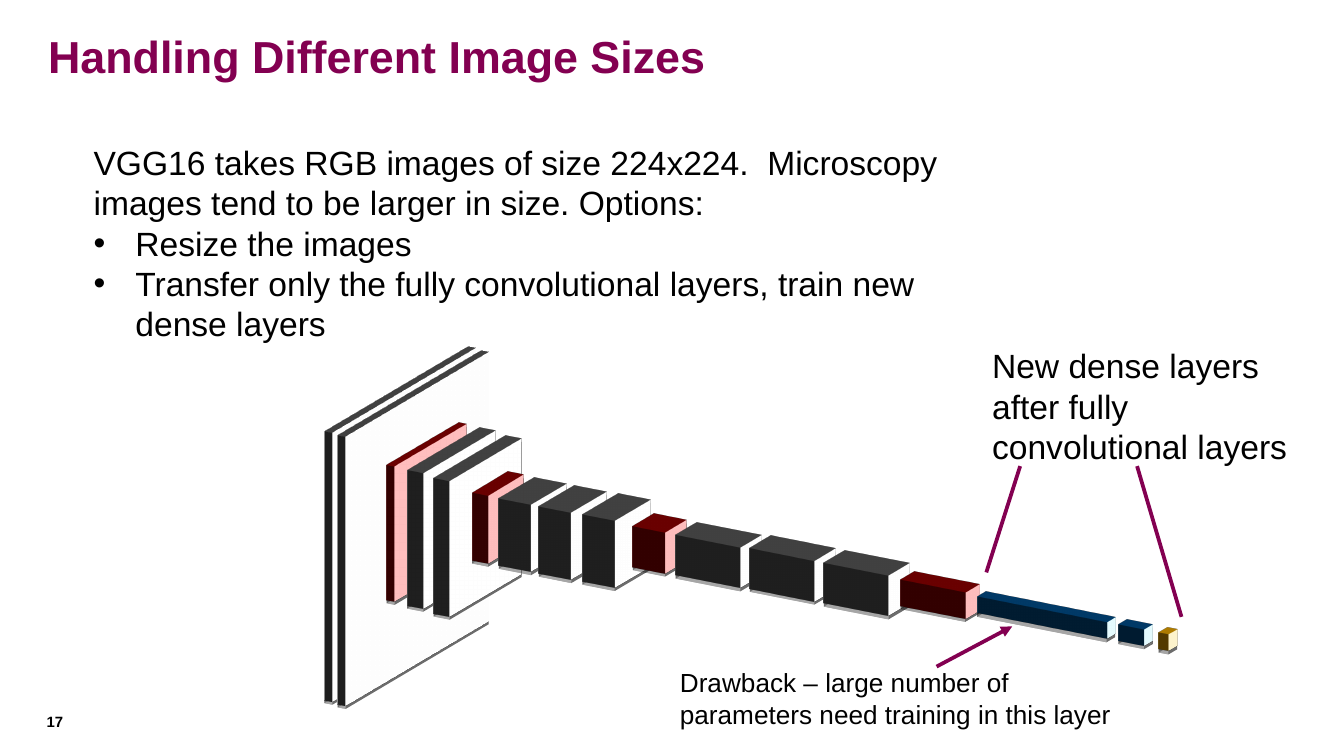
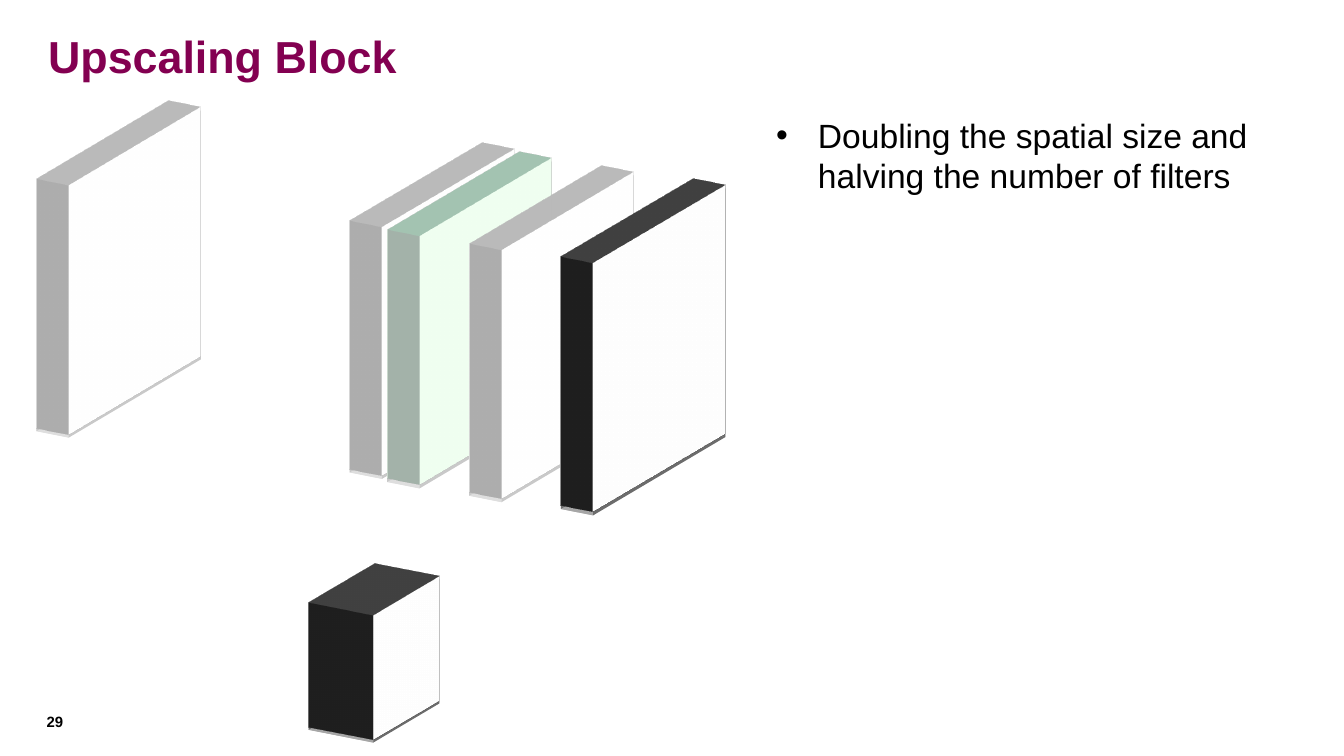
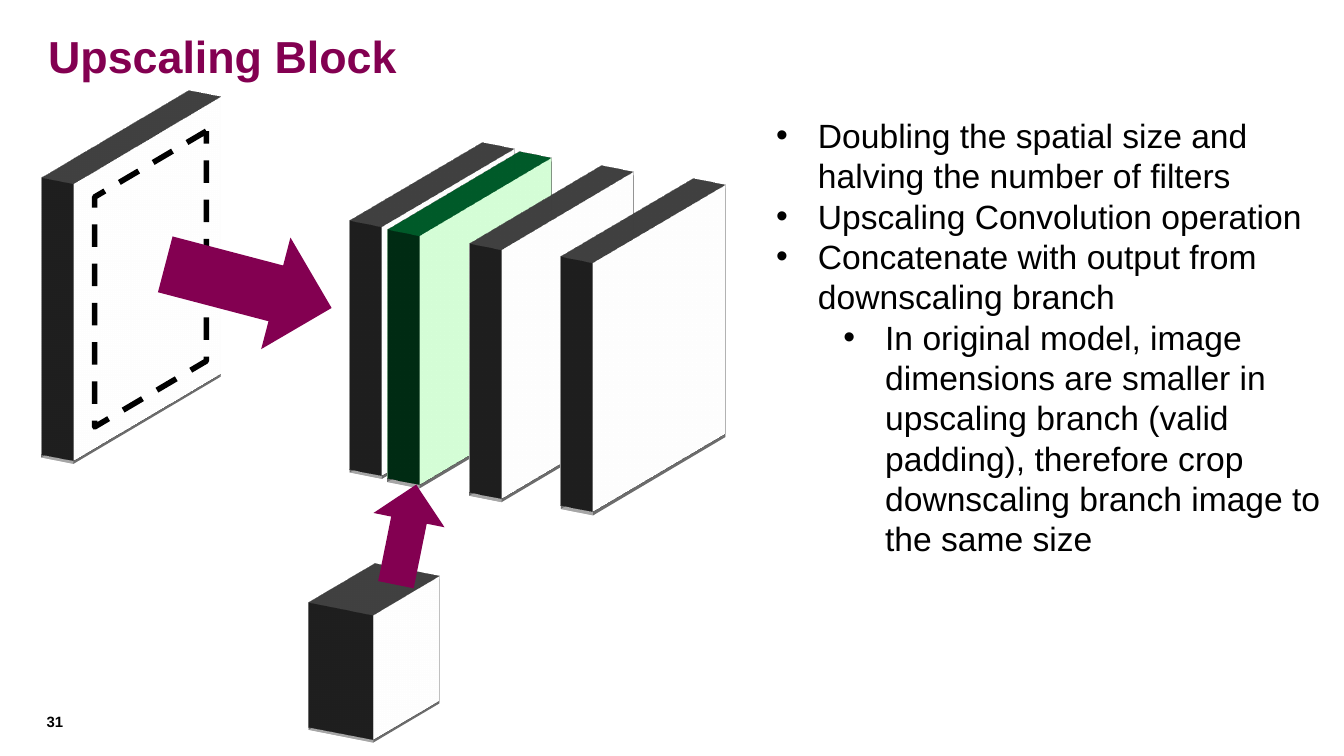
from pptx import Presentation
from pptx.dml.color import RGBColor
from pptx.enum.dml import MSO_LINE
from pptx.enum.shapes import MSO_CONNECTOR, MSO_SHAPE
from pptx.enum.text import MSO_ANCHOR
from pptx.oxml.ns import qn
from pptx.util import Cm, Pt
from lxml.etree import SubElement

PLUM = RGBColor(0x83, 0x00, 0x51)
BLACK = RGBColor(0x00, 0x00, 0x00)
WHITE = RGBColor(0xFF, 0xFF, 0xFF)

# Block colours: front, sides
CONVOLUTION = (WHITE, RGBColor(0x59, 0x59, 0x59))
POOLING = (RGBColor(0xFF, 0xB9, 0xB9), RGBColor(0x92, 0x00, 0x00))
DENSE = (RGBColor(0xE1, 0xF6, 0xF9), RGBColor(0x00, 0x4F, 0x8E))
OUTPUT = (RGBColor(0xFF, 0xEF, 0xC9), RGBColor(0xF0, 0xAB, 0x00))
CONCATENATED = (RGBColor(0xD1, 0xFF, 0xD3), RGBColor(0x00, 0x7E, 0x39))

BULLET_INDENT = 0.79
LEVEL_STEP = 1.27
FEATURE_SIZE = 5.0
FEATURE_DEPTH = 20


def add_text(slide, box, items, size, color=BLACK, bold=False, margins=True):
    """Add a text box; each item is (text, bullet level), with None for no bullet."""
    frame = slide.shapes.add_textbox(*map(Cm, box)).text_frame
    frame.word_wrap = True
    frame.vertical_anchor = MSO_ANCHOR.TOP
    if not margins:
        frame.margin_left = frame.margin_right = frame.margin_top = frame.margin_bottom = 0
    for index, (text, level) in enumerate(items):
        paragraph = frame.add_paragraph() if index else frame.paragraphs[0]
        paragraph.text = text
        if level is not None:
            paragraph.level = level
            properties = paragraph._p.get_or_add_pPr()
            properties.set("marL", str(Cm(BULLET_INDENT + level * LEVEL_STEP)))
            properties.set("indent", str(-Cm(BULLET_INDENT)))
            SubElement(properties, qn("a:buFont"), typeface="Arial")
            SubElement(properties, qn("a:buChar"), char="•")
        paragraph.font.name = "Arial"
        paragraph.font.size = Pt(size)
        paragraph.font.bold = bold
        paragraph.font.color.rgb = color


def add_block(slide, left, top, size, depth, colors, line_width=3):
    """Draw a square extruded by depth points and turned to show its left and top sides."""
    front_color, side_color = colors
    block = slide.shapes.add_shape(MSO_SHAPE.RECTANGLE, Cm(left), Cm(top), Cm(size), Cm(size))
    block.fill.solid()
    block.fill.fore_color.rgb = front_color
    block.line.color.rgb = side_color
    block.line.width = Pt(line_width)
    block.shadow.inherit = False
    properties = block._element.spPr
    shadow = SubElement(properties.find(qn("a:effectLst")), qn("a:outerShdw"),
                        blurRad="40000", dist="23000", dir="5400000", rotWithShape="0")
    shadow_color = SubElement(shadow, qn("a:srgbClr"), val=str(BLACK))
    SubElement(shadow_color, qn("a:alpha"), val="35000")
    scene = SubElement(properties, qn("a:scene3d"))
    camera = SubElement(scene, qn("a:camera"), prst="isometricOffAxis2Right")
    SubElement(camera, qn("a:rot"), lat="1200000", lon="18000000", rev="0")
    SubElement(scene, qn("a:lightRig"), rig="threePt", dir="t")
    solid = SubElement(properties, qn("a:sp3d"), extrusionH=str(Pt(depth)))
    extrusion_color = SubElement(solid, qn("a:extrusionClr"))
    SubElement(extrusion_color, qn("a:srgbClr"), val=str(side_color))


presentation = Presentation()
presentation.slide_width = Cm(25.4)
presentation.slide_height = Cm(14.29)

# Shared title and slide number
slides = []
for title, number in [("Handling Different Image Sizes", "17"),
                      ("Upscaling Block", "29"), ("Upscaling Block", "31")]:
    slide = presentation.slides.add_slide(presentation.slide_layouts[6])
    add_text(slide, (0.66, 0.41, 24.36, 1.4), [(title, None)], 24, PLUM, True)
    add_text(slide, (0.88, 13.47, 1.09, 0.46), [(number, None)], 8, bold=True, margins=False)
    slides.append(slide)
sizes_slide, doubling_slide, concatenate_slide = slides

# Image sizes: network with its dense layers replaced
add_text(sizes_slide, (1.52, 2.56, 16.99, 4.11), [
    ("VGG16 takes RGB images of size 224x224.  Microscopy images tend to be larger in size. Options:", None),
    ("Resize the images", 0),
    ("Transfer only the fully convolutional layers, train new dense layers", 0),
], 18)
add_block(sizes_slide, 4.93, 7.21, 5.41, 5, CONVOLUTION, line_width=4.5)
for left, top, size, depth, colors in [
    (5.18, 7.29, 5.41, 5, CONVOLUTION),
    (6.78, 8.33, 2.72, 5, POOLING),
    (7.32, 8.46, 2.72, 10, CONVOLUTION),
    (7.82, 8.61, 2.72, 10, CONVOLUTION),
    (8.89, 9.14, 1.35, 10, POOLING),
    (9.7, 9.3, 1.35, 20, CONVOLUTION),
    (10.46, 9.45, 1.35, 20, CONVOLUTION),
    (11.28, 9.6, 1.35, 20, CONVOLUTION),
    (12.37, 9.93, 0.81, 20, POOLING),
    (13.79, 10.21, 0.81, 40, CONVOLUTION),
    (15.19, 10.46, 0.81, 40, CONVOLUTION),
    (16.59, 10.74, 0.81, 40, CONVOLUTION),
    (18.11, 11.1, 0.53, 40, POOLING),
    (20.83, 11.71, 0.33, 80, DENSE),
    (21.54, 11.84, 0.33, 16, DENSE),
    (22.0, 11.94, 0.33, 6, OUTPUT),
]:
    add_block(sizes_slide, left, top, size, depth, colors)

for ends, has_arrowhead in [((18.64, 10.82, 19.28, 8.81), False),
                            ((22.33, 11.66, 21.49, 8.81), False),
                            ((17.7, 12.6, 19.13, 11.84), True)]:
    pointer = sizes_slide.shapes.add_connector(MSO_CONNECTOR.STRAIGHT, *map(Cm, ends))
    pointer.line.color.rgb = PLUM
    pointer.line.width = Pt(2)
    if has_arrowhead:
        SubElement(pointer.line._get_or_add_ln(), qn("a:tailEnd"), type="triangle")
    SubElement(pointer._element.spPr, qn("a:effectLst"))
add_text(sizes_slide, (18.5, 6.4, 6.3, 2.57),
         [("New dense layers after fully convolutional layers", None)], 18)
add_text(sizes_slide, (12.6, 12.48, 8.94, 1.45),
         [("Drawback – large number of parameters need training in this layer", None)], 14)

# Upscaling block: feature maps on both slides
for slide, left_block in [(doubling_slide, (0.05, 2.62, FEATURE_SIZE)),
                          (concatenate_slide, (0, 2.49, 5.56))]:
    add_block(slide, 5.97, 3.4, FEATURE_SIZE, FEATURE_DEPTH, CONVOLUTION)
    add_block(slide, 6.68, 3.58, FEATURE_SIZE, FEATURE_DEPTH, CONCATENATED)
    add_block(slide, 8.23, 3.84, FEATURE_SIZE, FEATURE_DEPTH, CONVOLUTION)
    add_block(slide, 6.43, 11.18, FEATURE_SIZE / 2, 2 * FEATURE_DEPTH, CONVOLUTION)
    add_block(slide, *left_block, FEATURE_DEPTH, CONVOLUTION)
    if slide is doubling_slide:
        for veil_box in [(0.41, 1.65, 3.99, 7.16), (5.46, 2.39, 7.54, 7.16)]:
            veil = slide.shapes.add_shape(MSO_SHAPE.RECTANGLE, *map(Cm, veil_box))
            veil.shadow.inherit = False
            veil.fill.solid()
            veil.fill.fore_color.rgb = WHITE
            veil_color = veil._element.spPr.find(qn("a:solidFill"))[0]
            SubElement(veil_color, qn("a:alpha"), val="64000")
            veil.line.fill.background()
    add_block(slide, 9.96, 4.09, FEATURE_SIZE, FEATURE_DEPTH, CONVOLUTION)

upscaling_points = [
    ("Doubling the spatial size and halving the number of filters", 0),
    ("Upscaling Convolution operation", 0),
    ("Concatenate with output from downscaling branch", 0),
    ("In original model, image dimensions are smaller in upscaling branch (valid padding), "
     "therefore crop downscaling branch image to the same size", 1),
]
add_text(doubling_slide, (14.42, 2.05, 10.93, 1.8), upscaling_points[:1], 18)
add_text(concatenate_slide, (14.42, 2.05, 10.93, 8.71), upscaling_points, 18)

# Cropped region and the two inputs to the concatenation
crop = concatenate_slide.shapes.add_shape(MSO_SHAPE.PARALLELOGRAM, Cm(0.05), Cm(4.22), Cm(5.59), Cm(2.11))
crop.adjustments[0] = 0.59
crop.rotation = 270
crop._element.spPr.xfrm.set("flipH", "1")
crop.shadow.inherit = False
crop.fill.background()
crop.line.color.rgb = BLACK
crop.line.width = Pt(3)
crop.line.dash_style = MSO_LINE.DASH

for arrow_box, rotation in [((3.07, 4.32, 3.25, 2.18), 14.7), ((6.71, 9.42, 1.93, 1.37), 281.4)]:
    arrow = concatenate_slide.shapes.add_shape(MSO_SHAPE.RIGHT_ARROW, *map(Cm, arrow_box))
    arrow.rotation = rotation
    arrow.shadow.inherit = False
    arrow.fill.solid()
    arrow.fill.fore_color.rgb = PLUM
    arrow.line.fill.background()

presentation.save("out.pptx")
